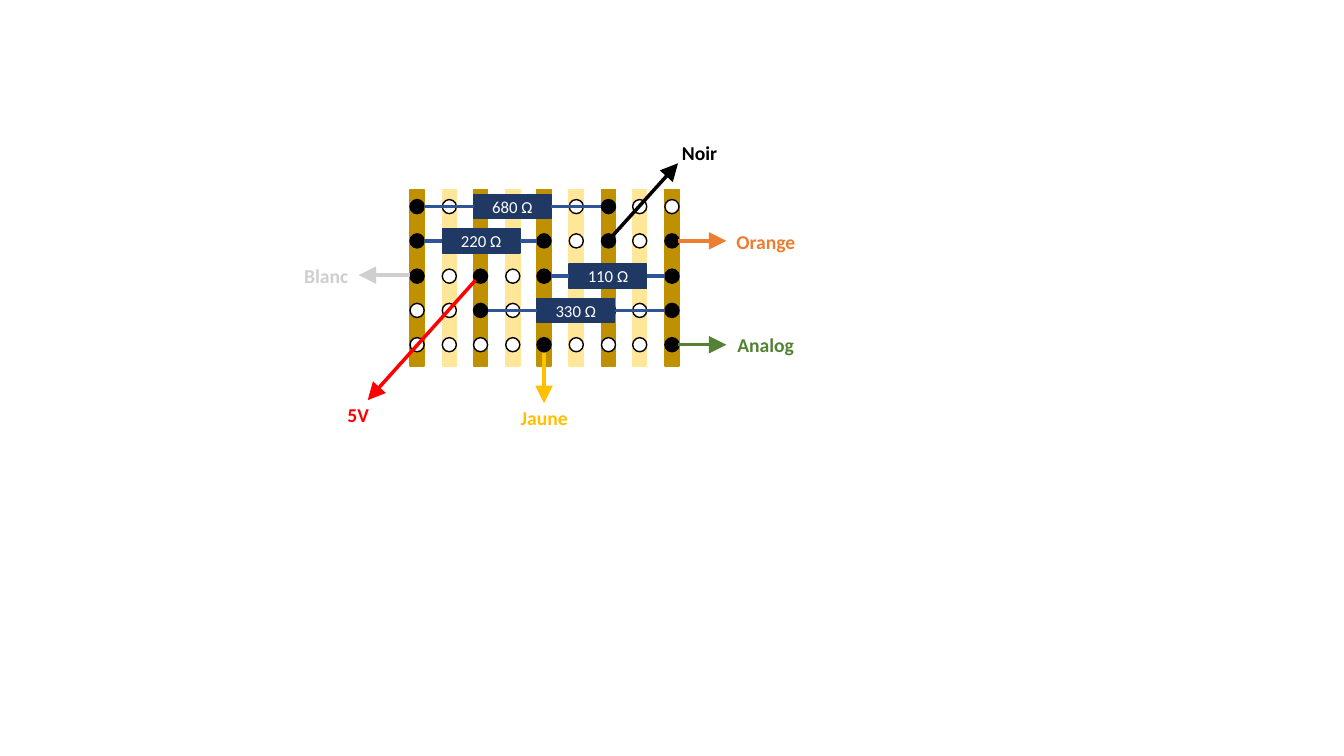
from pptx import Presentation
from pptx.dml.color import RGBColor
from pptx.enum.shapes import MSO_CONNECTOR, MSO_SHAPE
from pptx.enum.text import MSO_ANCHOR, MSO_AUTO_SIZE, PP_ALIGN
from pptx.oxml.xmlchemy import OxmlElement
from pptx.util import Emu, Pt

PX = 9144
BLACK = RGBColor(0x00, 0x00, 0x00)
WHITE = RGBColor(0xFF, 0xFF, 0xFF)
STRIP_DARK = RGBColor(0xBF, 0x90, 0x00)
STRIP_LIGHT = RGBColor(0xFF, 0xE6, 0x99)
RESISTOR = RGBColor(0x20, 0x38, 0x64)
LEAD = RGBColor(0x2F, 0x55, 0x97)
RED = RGBColor(0xFF, 0x00, 0x00)
GREEN = RGBColor(0x54, 0x82, 0x35)
GREY = RGBColor(0xD0, 0xCE, 0xCE)
ORANGE = RGBColor(0xED, 0x7D, 0x31)
YELLOW = RGBColor(0xFF, 0xC0, 0x00)

BOARD = (407, 188)
STRIP_HEIGHT = 175
HOLE, HOLE_TOP = 14, 10
COLUMN_STEP, ROW_STEP = 31.6, 34.3
BODY_WIDTH, BODY_HEIGHT = 77, 24
LABEL_HEIGHT = 34
HOLE_FILLS = {"●": BLACK, "○": WHITE}
HOLES = [
    "●○○ ○○●○○",
    "●○ ○●○●○●",
    "●○●○●○ ○●",
    "○○●○○ ○○●",
    "○○○○●○○○●",
]
RESISTORS = [
    ("680 Ω", 0, 0, 6),
    ("220 Ω", 1, 0, 4),
    ("110 Ω", 2, 4, 8),
    ("330 Ω", 3, 2, 8),
]
WIRES = [
    ("Noir", BLACK, (201, 46), (266, -26), (260, -53, 57)),
    ("5V", RED, (65, 90), (-42, 209), (-72, 207, 44)),
    ("Analog", GREEN, (266, 154), (314, 154), (315, 137, 80)),
    ("Blanc", GREY, (0, 85), (-51, 85), (-115, 69, 66)),
    ("Orange", ORANGE, (266, 51), (314, 51), (314, 35, 81)),
    ("Jaune", YELLOW, (133, 162), (133, 212), (100, 210, 69)),
]


def px(*lengths):
    """Turn whole px into EMU."""
    return [Emu(length * PX) for length in lengths]


def apply_format(target, values):
    """Set each named format value on the target."""
    for name, value in values.items():
        setattr(target, name, value)


def column_left(board, column):
    """Return the left edge of a strip."""
    return board[0] + round(column * COLUMN_STEP)


def row_top(board, row):
    """Return the top edge of a row of holes."""
    return board[1] + HOLE_TOP + round(row * ROW_STEP)


def add_block(shapes, kind, box, fill, outline):
    """Draw a filled shape with a thin outline."""
    block = shapes.add_shape(kind, *px(*box))
    block.shadow.inherit = False
    block.fill.solid()
    block.fill.fore_color.rgb = fill
    block.line.color.rgb = outline
    block.line.width = Pt(1)
    return block


def add_line(page, start, end, color, arrow=False):
    """Draw a straight line, with an arrowhead at its end if asked."""
    line = page.shapes.add_connector(MSO_CONNECTOR.STRAIGHT, *px(*start, *end))
    line.line.color.rgb = color
    line.line.width = Pt(2.5)
    if arrow:
        head = OxmlElement("a:tailEnd")
        for name, value in {"type": "triangle", "w": "lg", "len": "lg"}.items():
            head.set(name, value)
        line.line._get_or_add_ln().append(head)
    line._element.spPr.append(OxmlElement("a:effectLst"))


def write_text(box, text, size, color, bold, align):
    """Write one line of text in a box."""
    para = box.text_frame.paragraphs[0]
    para.alignment = align
    span = para.add_run()
    span.text = text
    apply_format(span.font, {"name": "Calibri", "size": Pt(size), "bold": bold})
    span.font.color.rgb = color


def add_strip(page, board, column):
    """Draw one copper strip with its holes as a group."""
    shapes = page.shapes.add_group_shape().shapes
    left = column_left(board, column)
    color = STRIP_LIGHT if column % 2 else STRIP_DARK
    add_block(shapes, MSO_SHAPE.RECTANGLE, (left, board[1], HOLE, STRIP_HEIGHT), color, color)
    for row, marks in enumerate(HOLES):
        if marks[column] in HOLE_FILLS:
            box = (left, row_top(board, row), HOLE, HOLE)
            add_block(shapes, MSO_SHAPE.OVAL, box, HOLE_FILLS[marks[column]], BLACK)


def add_resistor(page, board, value, row, first, last):
    """Draw a resistor centred between two holes, with its leads."""
    middle = row_top(board, row) + HOLE // 2
    left = column_left(board, (first + last) // 2 - 1)
    right = left + BODY_WIDTH
    box = (left, middle - BODY_HEIGHT // 2, BODY_WIDTH, BODY_HEIGHT)
    body = add_block(page.shapes, MSO_SHAPE.RECTANGLE, box, RESISTOR, RESISTOR)
    body.text_frame.vertical_anchor = MSO_ANCHOR.MIDDLE
    write_text(body, value, 12, WHITE, False, PP_ALIGN.CENTER)
    add_line(page, (column_left(board, first) + HOLE, middle), (left, middle), LEAD)
    add_line(page, (right, middle), (column_left(board, last), middle), LEAD)


def add_wire(page, board, name, color, start, end, label):
    """Draw an outgoing wire and its name."""
    left, top = board
    points = [(left + x, top + y) for x, y in (start, end)]
    add_line(page, *points, color, arrow=True)
    x, y, width = label
    box = page.shapes.add_textbox(*px(left + x, top + y, width, LABEL_HEIGHT))
    apply_format(box.text_frame, {"word_wrap": False, "auto_size": MSO_AUTO_SIZE.SHAPE_TO_FIT_TEXT})
    write_text(box, name, 14, color, True, PP_ALIGN.LEFT)


def add_board(page, board):
    """Draw the strip board with its resistors and wires."""
    for column in range(len(HOLES[0])):
        add_strip(page, board, column)
    for resistor in RESISTORS:
        add_resistor(page, board, *resistor)
    for wire in WIRES:
        add_wire(page, board, *wire)


def main():
    """Build the deck and save it."""
    deck = Presentation()
    deck.slide_width, deck.slide_height = px(1334, 750)
    page = deck.slides.add_slide(deck.slide_layouts[6])
    add_board(page, BOARD)
    deck.save("out.pptx")


if __name__ == "__main__":
    main()
